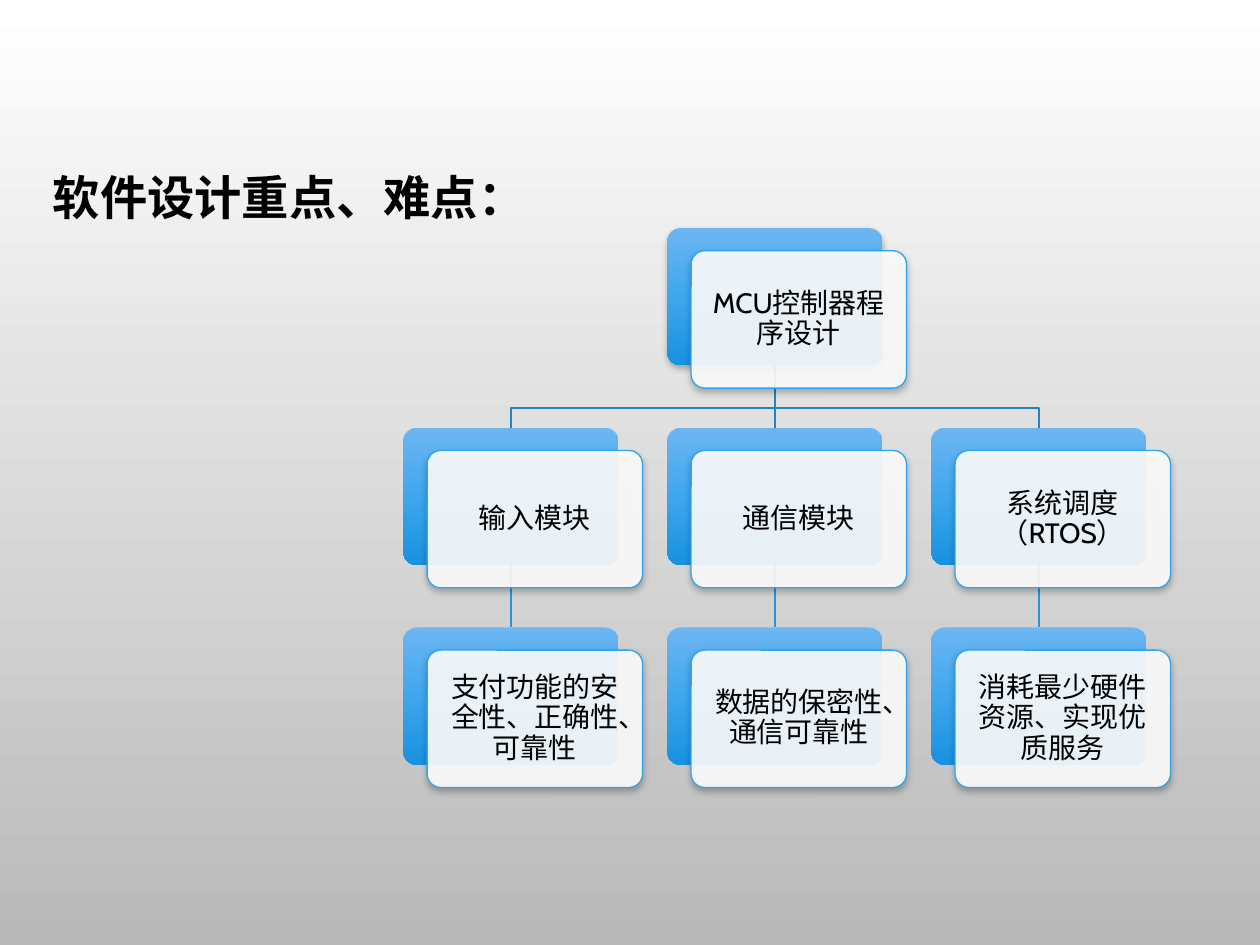
from copy import deepcopy

from lxml import etree
from pptx import Presentation
from pptx.dml.color import RGBColor
from pptx.enum.shapes import MSO_CONNECTOR, MSO_SHAPE
from pptx.enum.text import MSO_ANCHOR, PP_ALIGN
from pptx.oxml.ns import qn
from pptx.util import Inches, Pt

ROUNDED = MSO_SHAPE.ROUNDED_RECTANGLE
STRAIGHT = MSO_CONNECTOR.STRAIGHT
MIDDLE = MSO_ANCHOR.MIDDLE
LEFT, CENTER = PP_ALIGN.LEFT, PP_ALIGN.CENTER
BOTTOM_SITE, TOP_SITE = 2, 0

# Content
TITLE = "软件设计重点、难点："
ROOT = "MCU控制器程序设计"
BRANCHES = [
    ("输入模块", "支付功能的安全性、正确性、可靠性"),
    ("通信模块", "数据的保密性、通信可靠性"),
    ("系统调度（RTOS）", "消耗最少硬件资源、实现优质服务"),
]

# Layout and style
FONT = "Cabin"
CARD_W, CARD_H = 1.71, 1.09
FIRST_X, FIRST_Y = 3.2, 1.81
STEP_X, STEP_Y = 2.095, 1.585
OFFSET_X, OFFSET_Y = 0.19, 0.18
BEND_Y = 3.24
PAGE_STOPS = ["FFFFFF", "B9B9B9"]
CARD_STOPS = ["6CB6F1", "3FA6EE", "1891DF"]
UPPER_LINE, LOWER_LINE = "2683BF", "2B94D8"


def color(value):
    return RGBColor.from_string(value)


def fill_gradient(fill, properties, stops):
    fill.gradient()
    fill.gradient_angle = 270
    stop_list = properties.find(".//" + qn("a:gsLst"))
    for _ in stops[2:]:
        stop_list.append(deepcopy(stop_list[0]))
    for index, value in enumerate(stops):
        stop = fill.gradient_stops[index]
        stop.color.rgb = color(value)
        stop.position = index / (len(stops) - 1)


def add_shadow(shape):
    effects = shape._element.spPr.find(qn("a:effectLst"))
    shadow = etree.SubElement(
        effects, qn("a:outerShdw"), blurRad=str(Pt(4)), dist=str(Pt(2)),
        dir="5400000", rotWithShape="0")
    black = etree.SubElement(shadow, qn("a:srgbClr"), val="000000")
    etree.SubElement(black, qn("a:alpha"), val="28000")


def write(shape, text, size, align, bold=False):
    frame = shape.text_frame
    frame.word_wrap = True
    frame.vertical_anchor = MIDDLE
    para = frame.paragraphs[0]
    para.alignment = align
    span = para.add_run()
    span.text = text
    span.font.name = FONT
    span.font.size = Pt(size)
    span.font.bold = bold
    span.font.color.rgb = color("000000")
    return frame


def add_rounded(left, top):
    shape = page.shapes.add_shape(
        ROUNDED, Inches(left), Inches(top), Inches(CARD_W), Inches(CARD_H))
    shape.adjustments[0] = 0.1
    shape.shadow.inherit = False
    return shape


def add_card(text, column, row):
    """Blue back plate with a translucent white label over it."""
    left, top = FIRST_X + column * STEP_X, FIRST_Y + row * STEP_Y
    back = add_rounded(left, top)
    fill_gradient(back.fill, back._element.spPr, CARD_STOPS)
    back.line.fill.background()
    if row == 0:
        add_shadow(back)

    label = add_rounded(left + OFFSET_X, top + OFFSET_Y)
    label.fill.solid()
    label.fill.fore_color.rgb = color("FFFFFF")
    white = label._element.spPr.find(qn("a:solidFill"))[0]
    etree.SubElement(white, qn("a:alpha"), val="90000")
    label.line.color.rgb = color("2FA3EE")
    label.line.width = Pt(0.75)
    add_shadow(label)
    frame = write(label, text, 16, CENTER)
    frame.margin_left = frame.margin_right = Inches(0.1)
    frame.margin_top = frame.margin_bottom = Inches(0.1)
    frame.paragraphs[0].line_spacing = 0.9
    return back


def style_link(link, line_color):
    link.line.color.rgb = color(line_color)
    link.line.width = Pt(1.25)
    tree = page.shapes._spTree
    tree.remove(link._element)
    tree.insert(2, link._element)  # behind every card


def link_straight(parent, child, line_color):
    link = page.shapes.add_connector(STRAIGHT, 0, 0, 0, 0)
    link.begin_connect(parent, BOTTOM_SITE)
    link.end_connect(child, TOP_SITE)
    etree.SubElement(link._element.spPr, qn("a:effectLst"))
    style_link(link, line_color)


def link_bent(parent, child, line_color):
    start_x = parent.left + parent.width // 2
    end_x = child.left + child.width // 2
    bend = Inches(BEND_Y)
    builder = page.shapes.build_freeform(start_x, parent.top + parent.height)
    builder.add_line_segments(
        [(start_x, bend), (end_x, bend), (end_x, child.top)], close=False)
    link = builder.convert_to_shape()
    link.fill.background()
    link.shadow.inherit = False
    style_link(link, line_color)


# Page and title
deck = Presentation()
deck.slide_width, deck.slide_height = Inches(10), Inches(7.5)
page = deck.slides.add_slide(deck.slide_layouts[5])
fill_gradient(page.background.fill, page._element, PAGE_STOPS)
title = page.shapes.title
title.left, title.top = Inches(0.32), Inches(1.28)
title.width, title.height = Inches(3.97), Inches(0.56)
write(title, TITLE, 27, LEFT, bold=True)

# Tree of cards
root = add_card(ROOT, 1, 0)
for column, (module, focus) in enumerate(BRANCHES):
    module_card = add_card(module, column, 1)
    focus_card = add_card(focus, column, 2)
    link_straight(module_card, focus_card, LOWER_LINE)
    link_root = link_straight if column == 1 else link_bent
    link_root(root, module_card, UPPER_LINE)

deck.save("out.pptx")
